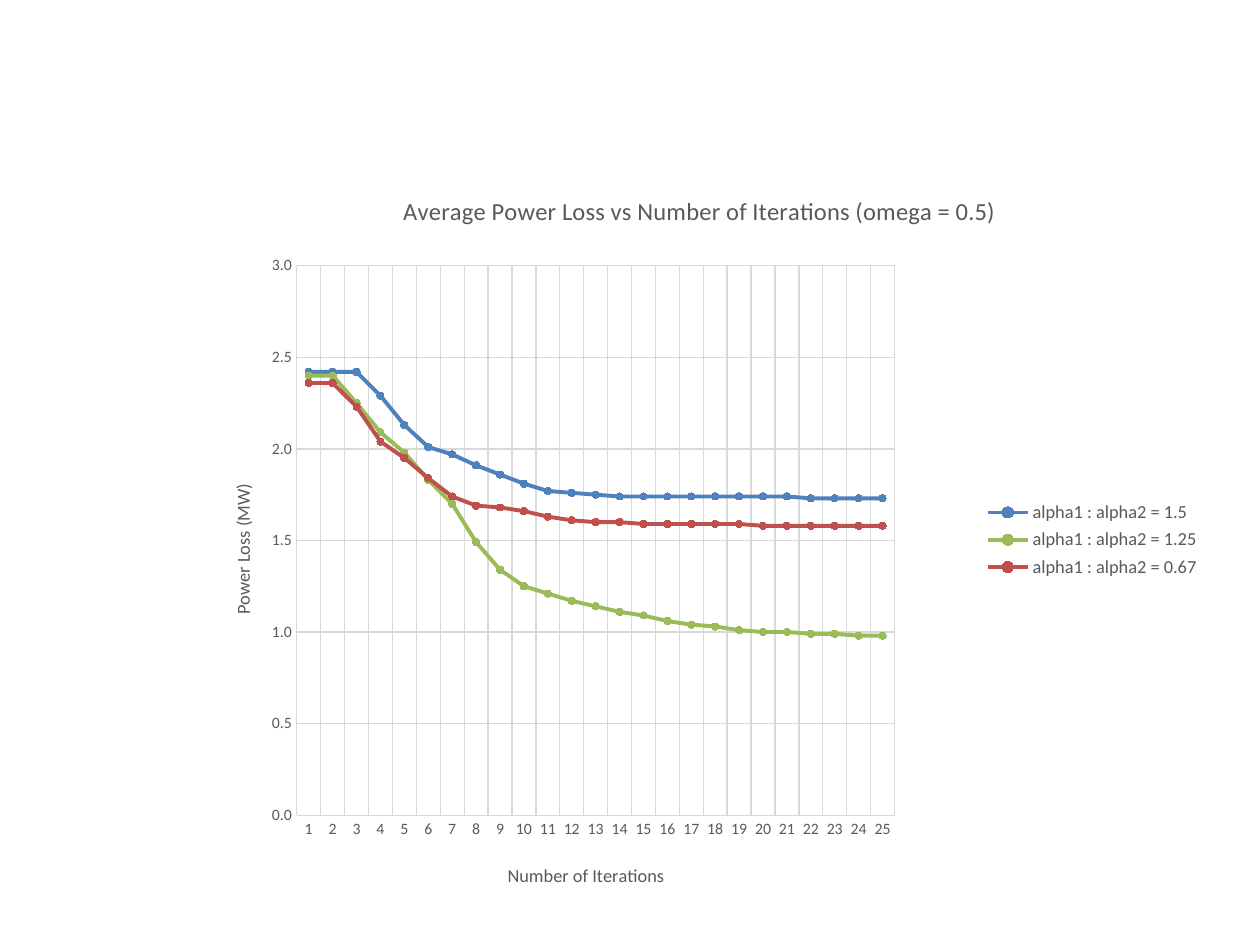
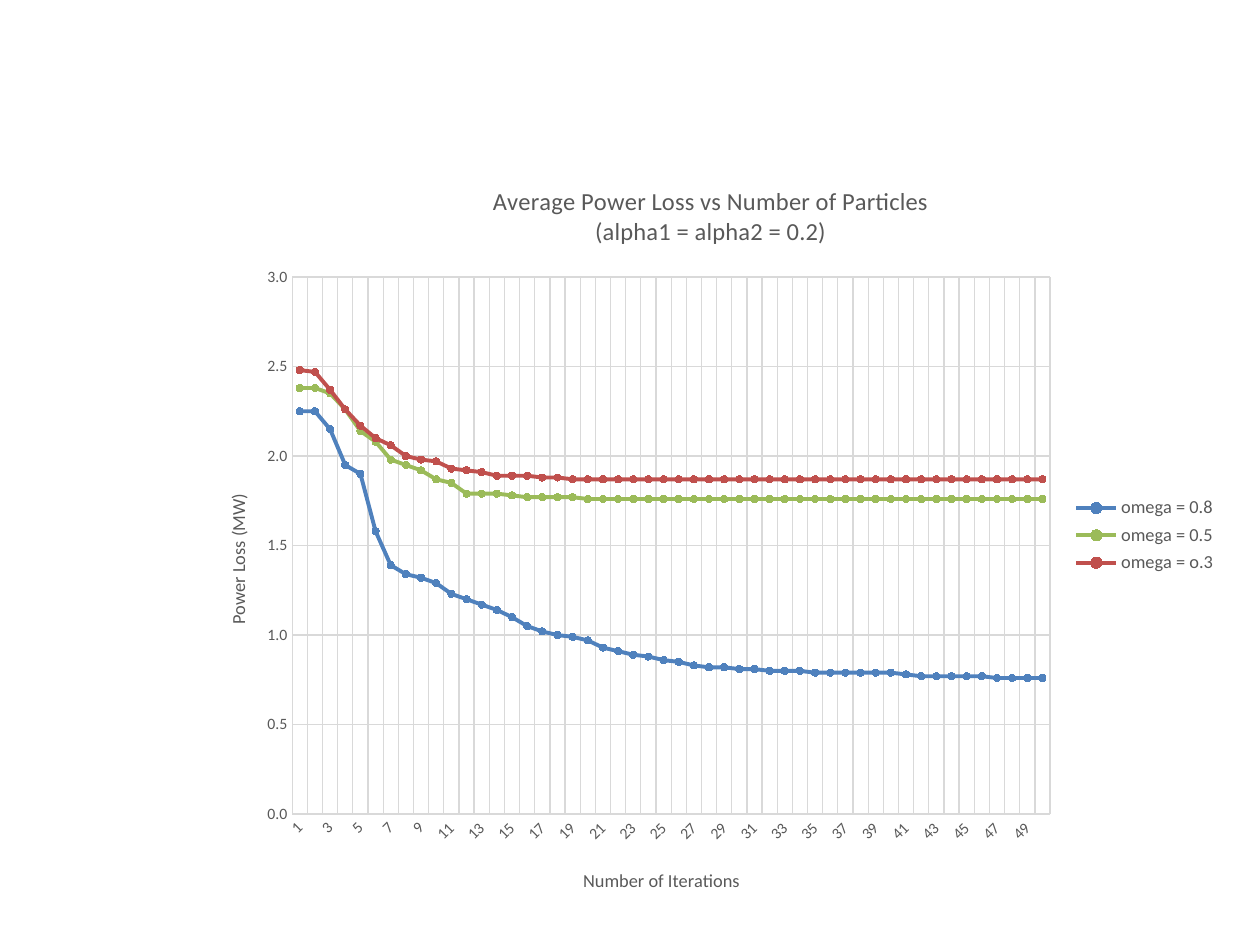
from lxml import etree
from pptx import Presentation
from pptx.chart import data as chart_data
from pptx.dml.color import RGBColor
from pptx.enum import chart as kinds
from pptx.oxml import ns
from pptx.util import Inches, Pt

FONT = "Calibri"
GREY = RGBColor(0x59, 0x59, 0x59)
GRID = RGBColor(0xD9, 0xD9, 0xD9)
BLUE = RGBColor(0x4F, 0x81, 0xBD)
GREEN = RGBColor(0x9B, 0xBB, 0x59)
RED = RGBColor(0xC0, 0x50, 0x4D)
CURVE_COLOURS = (BLUE, GREEN, RED)

# Content: axis wording, then one entry per slide.
# "at" is in inches; the other places are fractions of the chart.
ITERATION_TITLE = "Number of Iterations"
LOSS_TITLE = "Power Loss (MW)"
STUDIES = [
    {
        "title": "Average Power Loss vs Number of Iterations (omega = 0.5) ",
        "at": (1.52, 1.33, 8.11, 5.91),
        "plot": (0.103, 0.132, 0.585, 0.738),
        "iteration_title_at": (0.306, 0.93),
        "loss_title_at": (0.035, 0.42),
        "label_angle": 0,
        "curves": {
            "alpha1 : alpha2 = 1.5": [
                2.42, 2.42, 2.42, 2.29, 2.13, 2.01, 1.97, 1.91, 1.86, 1.81,
                1.77, 1.76, 1.75] + [1.74] * 8 + [1.73] * 4,
            "alpha1 : alpha2 = 1.25": [
                2.4, 2.4, 2.25, 2.09, 1.98, 1.83, 1.7, 1.49, 1.34, 1.25,
                1.21, 1.17, 1.14, 1.11, 1.09, 1.06, 1.04, 1.03, 1.01, 1,
                1, 0.99, 0.99, 0.98, 0.98],
            "alpha1 : alpha2 = 0.67": [
                2.36, 2.36, 2.23, 2.04, 1.95, 1.84, 1.74, 1.69, 1.68, 1.66,
                1.63, 1.61, 1.6, 1.6] + [1.59] * 5 + [1.58] * 6,
        },
    },
    {
        "title": "Average Power Loss vs Number of Particles\n(alpha1 = alpha2 = 0.2)",
        "at": (1.52, 1.26, 8.24, 5.98),
        "plot": (0.097, 0.157, 0.73, 0.713),
        "iteration_title_at": (0.374, 0.937),
        "loss_title_at": (0.03, 0.44),
        "label_angle": -45,
        "curves": {
            "omega = 0.8": [
                2.25, 2.25, 2.15, 1.95, 1.9, 1.58, 1.39, 1.34, 1.32, 1.29,
                1.23, 1.2, 1.17, 1.14, 1.1, 1.05, 1.02, 1, 0.99, 0.97,
                0.93, 0.91, 0.89, 0.88, 0.86, 0.85, 0.83, 0.82, 0.82, 0.81,
                0.81, 0.8, 0.8, 0.8] + [0.79] * 6 + [0.78] + [0.77] * 5 + [0.76] * 4,
            "omega = 0.5": [
                2.38, 2.38, 2.35, 2.26, 2.14, 2.08, 1.98, 1.95, 1.92, 1.87,
                1.85, 1.79, 1.79, 1.79, 1.78] + [1.77] * 4 + [1.76] * 31,
            "omega = o.3": [
                2.48, 2.47, 2.37, 2.26, 2.17, 2.1, 2.06, 2, 1.98, 1.97,
                1.93, 1.92, 1.91, 1.89, 1.89, 1.89, 1.88, 1.88] + [1.87] * 32,
        },
    },
]


def style_font(font, size):
    font.name, font.size, font.bold = FONT, Pt(size), False
    font.color.rgb = GREY


def style_line(line, colour, width):
    line.color.rgb = colour
    line.width = Pt(width)


def place(element, position, inner=False):
    """Give a chart part a manual layout: x, y and, if present, w, h."""
    layout = element.find(ns.qn("c:layout"))
    if layout is None:
        layout = etree.Element(ns.qn("c:layout"))
        element.insert(1 if element.find(ns.qn("c:tx")) is not None else 0, layout)
    manual = etree.SubElement(layout, ns.qn("c:manualLayout"))
    settings = [("layoutTarget", "inner")] if inner else []
    settings += [("xMode", "edge"), ("yMode", "edge")]
    settings += zip("xywh", position)
    for tag, value in settings:
        etree.SubElement(manual, ns.qn("c:" + tag)).set("val", str(value))


def write_title(owner, wording, size):
    frame = owner.text_frame
    frame.text = wording
    for paragraph in frame.paragraphs:
        style_font(paragraph.font, size)
        for run in paragraph.runs:
            style_font(run.font, size)
    return frame


def rotate(body, degrees):
    body.find(ns.qn("a:bodyPr")).set("rot", str(degrees * 60000))


def style_axis(axis, wording, title_at, title_angle):
    axis.major_tick_mark = axis.minor_tick_mark = kinds.XL_TICK_MARK.NONE
    axis.has_major_gridlines = True
    style_line(axis.major_gridlines.format.line, GRID, 0.75)
    style_font(axis.tick_labels.font, 9)
    frame = write_title(axis.axis_title, wording, 10.5)
    rotate(frame._txBody, title_angle)
    place(axis.axis_title._element, title_at)


def add_study(slide, study):
    curves = study["curves"]
    count = len(next(iter(curves.values())))
    losses = chart_data.CategoryChartData(number_format="0.00")
    losses.categories = [str(number) for number in range(1, count + 1)]
    for name, values in curves.items():
        losses.add_series(name, values)
    chart = slide.shapes.add_chart(
        kinds.XL_CHART_TYPE.LINE_MARKERS, *map(Inches, study["at"]), losses).chart
    chart.font.name, chart.font.size = FONT, Pt(10)
    write_title(chart.chart_title, study["title"], 14)
    place(chart._chartSpace.chart.plotArea, study["plot"], inner=True)

    # Axes
    iterations, loss = chart.category_axis, chart.value_axis
    style_axis(iterations, ITERATION_TITLE, study["iteration_title_at"], 0)
    style_line(iterations.format.line, GRID, 0.75)
    if study["label_angle"]:
        rotate(iterations._element.find(ns.qn("c:txPr")), study["label_angle"])
    style_axis(loss, LOSS_TITLE, study["loss_title_at"], -90)
    loss.format.line.fill.background()
    loss.minimum_scale, loss.maximum_scale, loss.major_unit = 0, 3, 0.5
    loss.tick_labels.number_format = "0.0"
    loss.tick_labels.number_format_is_linked = False

    # Legend
    chart.has_legend = True
    chart.legend.position = kinds.XL_LEGEND_POSITION.RIGHT
    chart.legend.include_in_layout = False
    style_font(chart.legend.font, 10.5)

    # Curves
    chart.plots[0].vary_by_categories = False
    for curve, colour in zip(chart.plots[0].series, CURVE_COLOURS):
        curve.smooth = False
        style_line(curve.format.line, colour, 2.25)
        marker = curve.marker
        marker.style, marker.size = kinds.XL_MARKER_STYLE.CIRCLE, 4
        marker.format.fill.solid()
        marker.format.fill.fore_color.rgb = colour
        style_line(marker.format.line, colour, 0.75)


def main():
    deck = Presentation()
    deck.slide_width, deck.slide_height = Inches(10), Inches(7.5)
    for study in STUDIES:
        add_study(deck.slides.add_slide(deck.slide_layouts[6]), study)
    deck.save("out.pptx")


if __name__ == "__main__":
    main()
